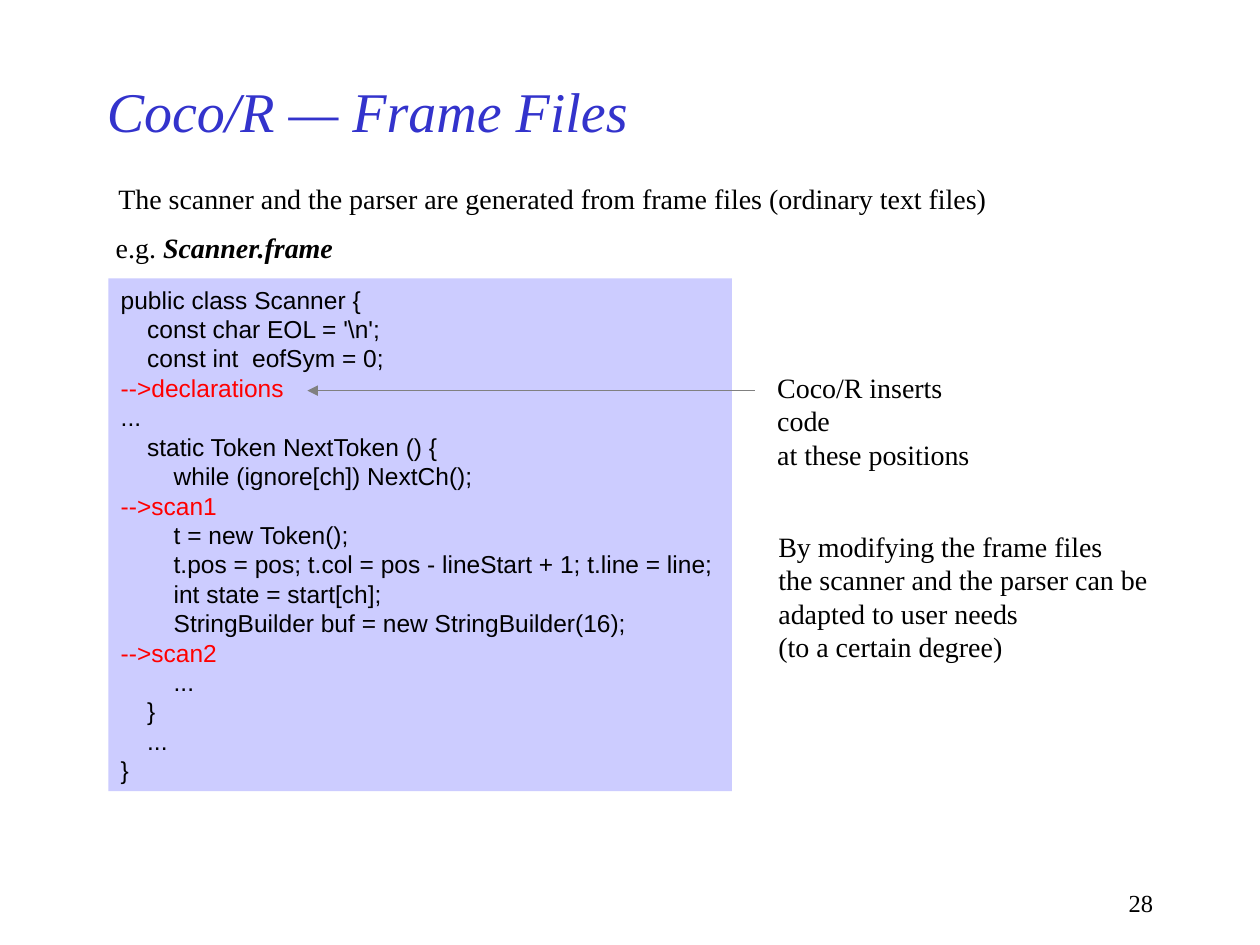
from lxml import etree
from pptx import Presentation
from pptx.dml.color import RGBColor
from pptx.enum.shapes import MSO_CONNECTOR as Connector, MSO_SHAPE as Shape
from pptx.enum.text import MSO_ANCHOR as Anchor, MSO_AUTO_SIZE as AutoSize, PP_ALIGN as Align
from pptx.oxml.ns import qn
from pptx.util import Inches, Pt

BLACK = RGBColor(0x00, 0x00, 0x00)
BLUE = RGBColor(0x33, 0x33, 0xCC)
LAVENDER = RGBColor(0xCC, 0xCC, 0xFF)
RED = RGBColor(0xFF, 0x00, 0x00)
GRAY = RGBColor(0x80, 0x80, 0x80)
SERIF, SANS = "Times New Roman", "Arial"

CODE = r"""public class Scanner {
	const char EOL = '\n';
	const int  eofSym = 0;
-->declarations
...
	static Token NextToken () {
		while (ignore[ch]) NextCh();
-->scan1
		t = new Token();
		t.pos = pos; t.col = pos - lineStart + 1; t.line = line;
		int state = start[ch];
		StringBuilder buf = new StringBuilder(16);
-->scan2
		...
	}
	...
}"""
TAB_STEP = 0.21

presentation = Presentation()
presentation.slide_width, presentation.slide_height = Inches(10), Inches(7.5)
slide = presentation.slides.add_slide(presentation.slide_layouts[6])


def add_text(text, left, top, width, height, size=16, font=SERIF, color=BLACK,
             italic=False, fill=None, wrap=False, anchor=Anchor.TOP,
             align=Align.LEFT, marker_color=None, tab_step=None):
    """Add a text box, or a filled rectangle, with one paragraph a line."""
    box = [Inches(value) for value in (left, top, width, height)]
    if fill is None:
        shape = slide.shapes.add_textbox(*box)
    else:
        shape = slide.shapes.add_shape(Shape.RECTANGLE, *box)
        shape.shadow.inherit = False
        shape.fill.solid()
        shape.fill.fore_color.rgb = fill
        shape.line.fill.background()
    frame = shape.text_frame
    frame.word_wrap = wrap
    frame.auto_size = AutoSize.NONE if wrap else AutoSize.SHAPE_TO_FIT_TEXT
    frame.vertical_anchor = anchor
    for index, line in enumerate(text.split("\n")):
        paragraph = frame.add_paragraph() if index else frame.paragraphs[0]
        paragraph.alignment = align
        if tab_step:
            tabs = etree.SubElement(paragraph._p.get_or_add_pPr(), qn("a:tabLst"))
            for stop in range(1, 5):
                position = str(Inches(stop * tab_step))
                etree.SubElement(tabs, qn("a:tab"), pos=position, algn="l")
        run = paragraph.add_run()
        run.text = line
        run.font.size = Pt(size)
        run.font.name = font
        run.font.italic = italic
        is_marker = marker_color is not None and line.startswith("-->")
        run.font.color.rgb = marker_color if is_marker else color
    return shape


# Title and introduction
add_text("Coco/R — Frame Files", 0.75, 0.5, 7.5, 0.75, size=32, color=BLUE,
         italic=True, wrap=True, anchor=Anchor.MIDDLE)
add_text("The scanner and the parser are generated from frame files (ordinary text files)",
         0.84, 1.39, 7.09, 0.37)
example = add_text("e.g. ", 0.82, 1.78, 1.93, 0.37)
file_name = example.text_frame.paragraphs[0].add_run()
file_name.text = "Scanner.frame"
file_name.font.size, file_name.font.name = Pt(16), SERIF
file_name.font.bold = file_name.font.italic = True
file_name.font.color.rgb = BLACK

# Frame file listing, with the insertion markers in red
add_text(CODE, 0.86, 2.21, 4.95, 4.07, size=14, font=SANS, fill=LAVENDER,
         marker_color=RED, tab_step=TAB_STEP)

# Arrow to the first insertion marker
arrow = slide.shapes.add_connector(Connector.STRAIGHT, Inches(5.99), Inches(3.1),
                                   Inches(2.44), Inches(3.1))
arrow.line.color.rgb = GRAY
arrow.line.width = Pt(0.75)
etree.SubElement(arrow.line._get_or_add_ln(), qn("a:tailEnd"), type="triangle")
etree.SubElement(arrow._element.spPr, qn("a:effectLst"))

# Remarks beside the listing
add_text("Coco/R inserts code\nat these positions", 6.07, 2.89, 1.98, 0.64)
add_text("By modifying the frame files\nthe scanner and the parser can be\n"
         "adapted to user needs\n(to a certain degree)", 6.08, 4.15, 3.13, 1.17)

# Slide number
add_text("28", 7.17, 7, 2.08, 0.33, size=14, wrap=True, align=Align.RIGHT)

presentation.save("out.pptx")
